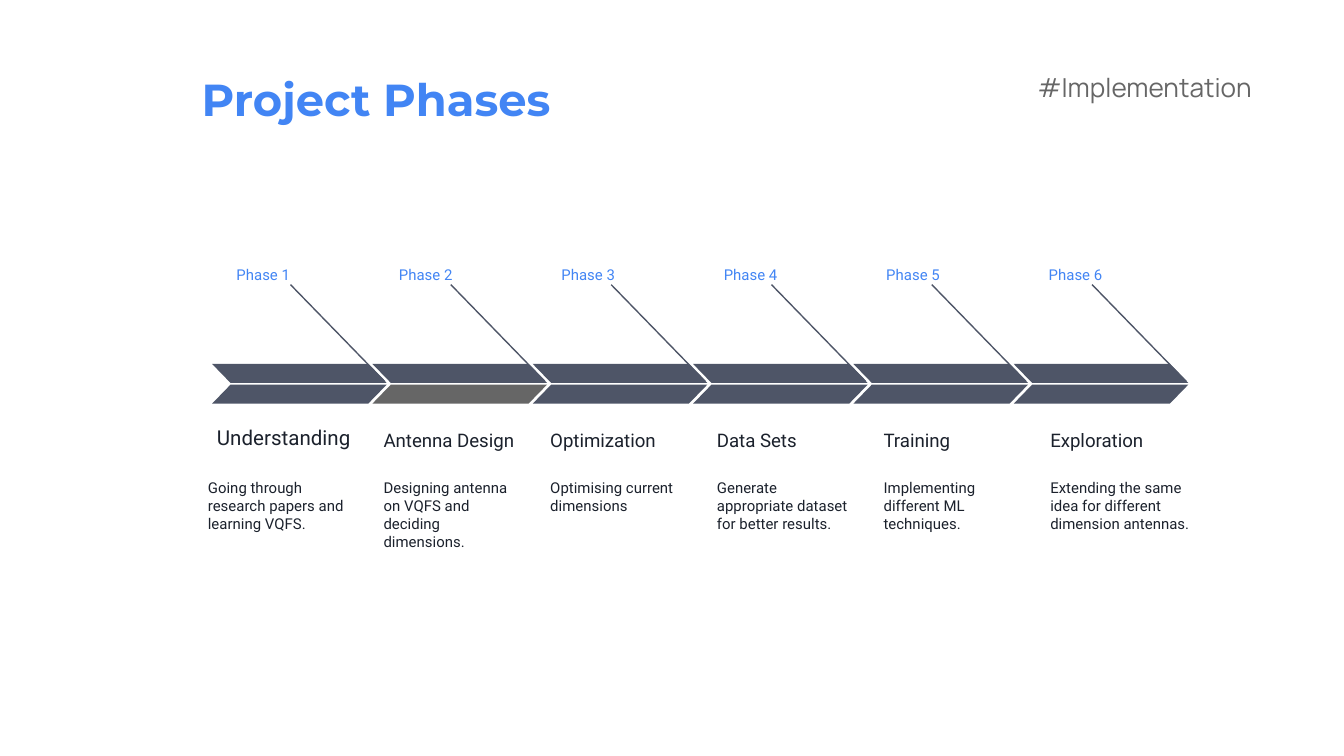
from pptx import Presentation
from pptx import util as u
from pptx.dml.color import RGBColor
from pptx.enum import shapes, text
from pptx.oxml.ns import qn
from lxml import etree

BLUE, SLATE, GREY, INK = "4285F4", "4E5567", "666666", "1B212C"

# Heading, heading size, description, colour of the lower arrow half
PHASES = [
    ("Understanding", 11, "Going through research papers and learning VQFS.", SLATE),
    ("Antenna Design", 10, "Designing antenna on VQFS and deciding dimensions.", GREY),
    ("Optimization", 10, "Optimising current dimensions", SLATE),
    ("Data Sets", 10, "Generate appropriate dataset for better results.", SLATE),
    ("Training", 10, "Implementing different ML techniques.", SLATE),
    ("Exploration", 10, "Extending the same idea for different dimension antennas.", SLATE),
]


def color(value):
    return RGBColor.from_string(value)


def add_label(page, box, words, size, tint, font="Roboto", bold=False,
              anchor=text.MSO_ANCHOR.TOP, after=0):
    label = page.shapes.add_textbox(*(u.Cm(n) for n in box))
    frame = label.text_frame
    frame.word_wrap = True
    frame.vertical_anchor = anchor
    frame.margin_left = frame.margin_right = u.Cm(0.25)
    frame.margin_top = frame.margin_bottom = u.Cm(0.25)
    para = frame.paragraphs[0]
    para.space_after = u.Pt(after)
    span = para.add_run()
    span.text = words
    span.font.size = u.Pt(size)
    span.font.name = font
    span.font.bold = bold
    span.font.color.rgb = color(tint)
    return label


def add_header(page, box):
    left, top, width, height = box
    add_label(page, box, "Project Phases", 24, BLUE, "Montserrat", bold=True)
    tag = add_label(page, (left + 15.8, top, 5.41, 1.12), "#Implementation",
                    14, GREY, "Manrope")
    tag.text_frame.auto_size = text.MSO_AUTO_SIZE.SHAPE_TO_FIT_TEXT


def add_arrow(page, box, lower_tint):
    """One chevron made of two mirrored halves, with its pointer line."""
    left, top, width, height = box
    half = 0.36

    # Pointer from the phase label down to the arrow tip
    pointer = page.shapes.add_connector(
        shapes.MSO_CONNECTOR.STRAIGHT, u.Cm(left + 1.48), u.Cm(top - 1.5),
        u.Cm(left + 3.26), u.Cm(top + 0.33))
    pointer.line.color.rgb = color(SLATE)
    pointer.line.width = u.Pt(0.75)
    etree.SubElement(pointer._element.spPr, qn("a:effectLst"))

    # Upper half is flipped, lower half is not
    for y, tint, flipped in ((top, SLATE, True),
                             (top + height - half, lower_tint, False)):
        part = page.shapes.add_shape(
            shapes.MSO_SHAPE.PARALLELOGRAM,
            u.Cm(left), u.Cm(y), u.Cm(width), u.Cm(half))
        part.adjustments[0] = 0.97
        part.shadow.inherit = False
        part.fill.solid()
        part.fill.fore_color.rgb = color(tint)
        part.line.fill.background()
        if flipped:
            part._element.spPr.xfrm.set("flipH", "1")


def add_timeline(page, box):
    left, top, width, height = box
    label_step, arrow_step, column_step = 3.07, 3.03, 3.15
    for index, (heading, size, description, tint) in enumerate(PHASES):
        # Phase number
        add_label(page, (left + 0.54 + index * label_step, top + 0.07, 2, 0.58),
                  f"Phase {index + 1}", 8, BLUE)
        # Arrow
        add_arrow(page, (left + 0.33 + index * arrow_step, top + 2.1, 3.3, 0.75), tint)
        # Heading and description; the first description hangs further left
        column = left + 0.17 + index * column_step
        add_label(page, (column, top + 2.84, column_step, 1.12), heading, size,
                  INK, anchor=text.MSO_ANCHOR.BOTTOM)
        body_left = left if index == 0 else column
        add_label(page, (body_left, top + 4.02, column_step, 1.85), description,
                  8, INK, after=16)


def main():
    deck = Presentation()
    deck.slide_width, deck.slide_height = u.Cm(25.4), u.Cm(14.29)
    page = deck.slides.add_slide(deck.slide_layouts[6])
    page.background.fill.solid()
    page.background.fill.fore_color.rgb = color("FFFFFF")
    add_header(page, (3.56, 1.1, 19.56, 2.54))
    add_timeline(page, (3.68, 4.78, 19.05, 5.87))
    deck.save("out.pptx")


if __name__ == "__main__":
    main()
